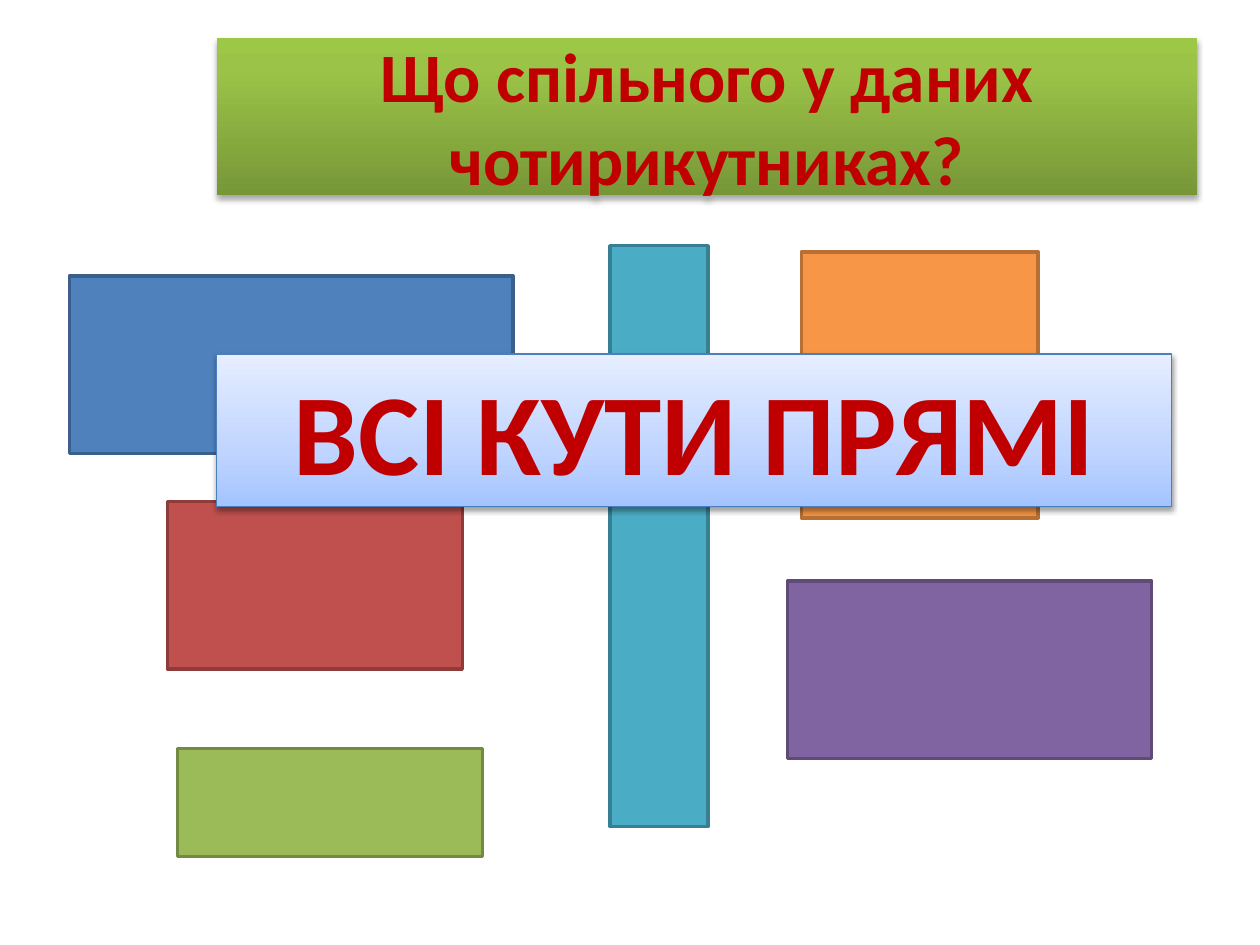
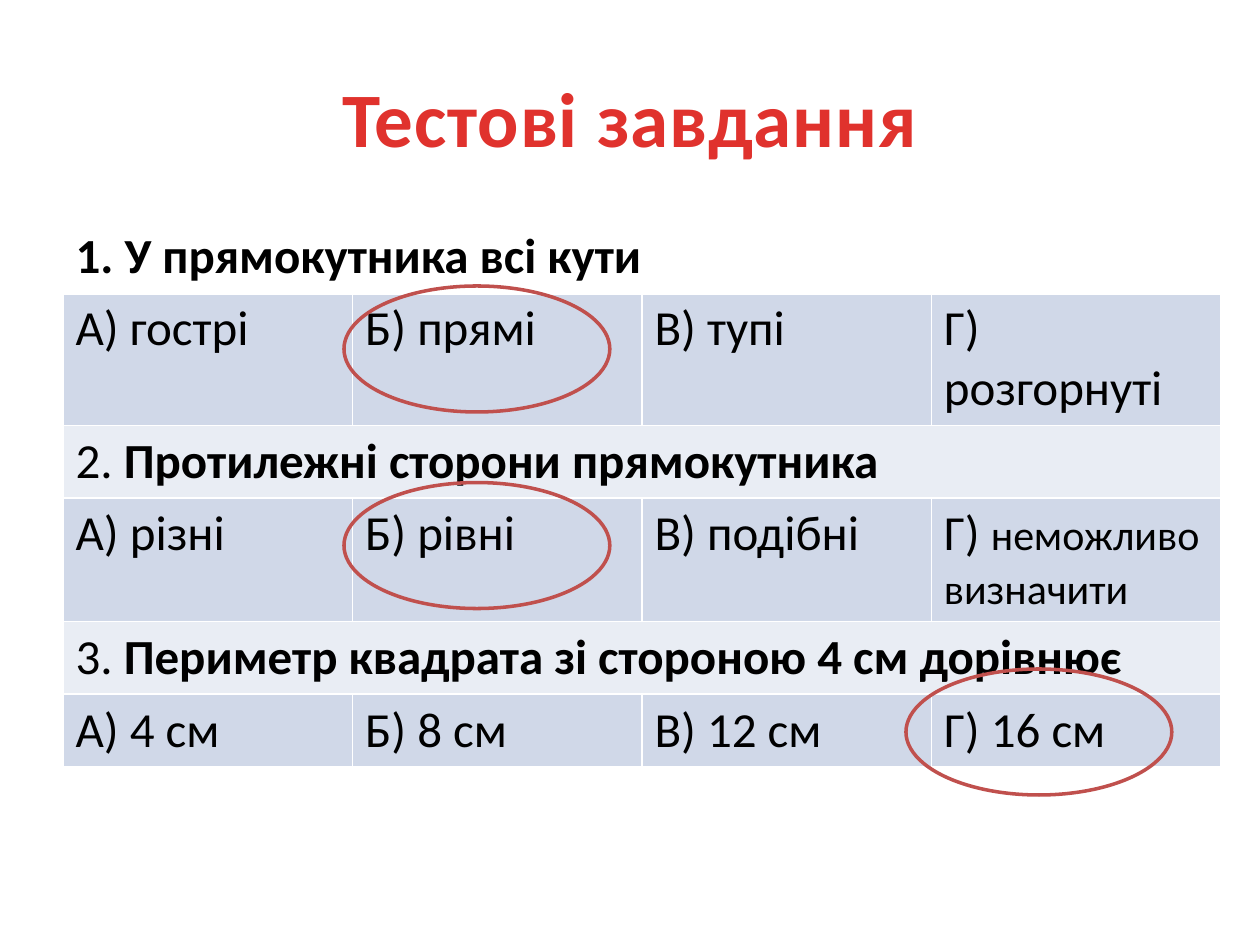
"""Build two geometry slides: rectangles with right angles and a short test."""
from lxml import etree
from pptx import Presentation
from pptx import util as u
from pptx.dml.color import RGBColor
from pptx.enum import shapes, text
from pptx.oxml import ns

PX = 9144
FONT = "Calibri"
BLACK = RGBColor(0x00, 0x00, 0x00)
WHITE = RGBColor(0xFF, 0xFF, 0xFF)
DARK_RED = RGBColor(0xC0, 0x00, 0x00)
BRIGHT_RED = RGBColor(0xE0, 0x32, 0x2D)
BLUE, BLUE_EDGE = RGBColor(0x4F, 0x81, 0xBD), RGBColor(0x3A, 0x5F, 0x8C)
TEAL, TEAL_EDGE = RGBColor(0x4B, 0xAC, 0xC6), RGBColor(0x37, 0x7F, 0x92)
ORANGE, ORANGE_EDGE = RGBColor(0xF7, 0x96, 0x46), RGBColor(0xB7, 0x6F, 0x34)
RED, RED_EDGE = RGBColor(0xC0, 0x50, 0x4D), RGBColor(0x8E, 0x3B, 0x39)
GREEN, GREEN_EDGE = RGBColor(0x9B, 0xBB, 0x59), RGBColor(0x73, 0x8A, 0x42)
PURPLE, PURPLE_EDGE = RGBColor(0x80, 0x64, 0xA2), RGBColor(0x5F, 0x4A, 0x78)
ANSWER_EDGE = RGBColor(0x4B, 0x7E, 0xBC)
QUESTION_FILL = RGBColor(0xE9, 0xED, 0xF4)
OPTION_FILL = RGBColor(0xD0, 0xD8, 0xE8)
GREEN_FADE = [(0, RGBColor(0x77, 0x97, 0x37)), (80, RGBColor(0x9B, 0xC3, 0x48)),
              (100, RGBColor(0x9D, 0xC7, 0x46))]
BLUE_FADE = [(0, RGBColor(0xA4, 0xC4, 0xFF)), (35, RGBColor(0xBF, 0xD4, 0xFF)),
             (100, RGBColor(0xE6, 0xEE, 0xFF))]


def px(*lengths):
    return [u.Emu(length * PX) for length in lengths]


def sub(parent, tag, **attributes):
    return etree.SubElement(parent, ns.qn(tag), {k: str(v) for k, v in attributes.items()})


def add_text(paragraph, words, size=28, color=BLACK, bold=False, spacing=None):
    run = paragraph.add_run()
    run.text = words
    run.font.name, run.font.size, run.font.bold = FONT, u.Pt(size), bold
    run.font.color.rgb = color
    if spacing:
        run.font._element.set("spc", str(spacing))


class Deck:
    """Hold the presentation style and the current slide."""

    def __init__(self):
        self.show = Presentation()
        self.show.slide_width, self.show.slide_height = px(1000, 750)

    def new_slide(self):
        self.slide = self.show.slides.add_slide(self.show.slide_layouts[5])

    def title(self, words, left, width, **style):
        heading = self.slide.shapes.title
        heading.left, heading.top, heading.width, heading.height = px(left, 30, width, 125)
        frame = heading.text_frame
        frame.word_wrap, frame.auto_size = True, text.MSO_AUTO_SIZE.NONE
        frame.vertical_anchor = text.MSO_ANCHOR.MIDDLE
        frame.paragraphs[0].alignment = text.PP_ALIGN.CENTER
        add_text(frame.paragraphs[0], words, bold=True, **style)
        return heading

    def fade(self, panel, stops, opacity, distance):
        panel.fill.gradient()
        panel.fill.gradient_angle = 90
        properties = panel.element.spPr
        stop_list = properties.find(".//" + ns.qn("a:gsLst"))
        for stop in list(stop_list):
            stop_list.remove(stop)
        for position, color in stops:
            sub(sub(stop_list, "a:gs", pos=position * 1000), "a:srgbClr", val=color)
        shadow = sub(sub(properties, "a:effectLst"), "a:outerShdw", blurRad=u.Pt(3.1),
                     dist=u.Pt(distance), dir=5400000, rotWithShape=0)
        sub(sub(shadow, "a:srgbClr", val="000000"), "a:alpha", val=opacity * 1000)

    def figure(self, kind, box, edge, fill=None):
        figure = self.slide.shapes.add_shape(kind, *px(*box))
        figure.shadow.inherit = False
        figure.line.color.rgb, figure.line.width = edge, u.Pt(2)
        if fill is None:
            figure.fill.background()
        else:
            figure.fill.solid()
            figure.fill.fore_color.rgb = fill

    def answer(self, words, box):
        banner = self.slide.shapes.add_textbox(*px(*box))
        banner.line.color.rgb, banner.line.width = ANSWER_EDGE, u.Pt(0.75)
        self.fade(banner, BLUE_FADE, 38, 1.6)
        frame = banner.text_frame
        frame.word_wrap, frame.auto_size = True, text.MSO_AUTO_SIZE.SHAPE_TO_FIT_TEXT
        frame.paragraphs[0].alignment = text.PP_ALIGN.CENTER
        add_text(frame.paragraphs[0], words, size=66, color=DARK_RED, bold=True)

    def cell(self, cell, runs, fill, bottom=1):
        properties = cell._tc.get_or_add_tcPr()
        for side, width in zip("LRTB", (1, 1, 1, bottom)):
            border = sub(properties, f"a:ln{side}", w=u.Pt(width))
            sub(sub(border, "a:solidFill"), "a:srgbClr", val=WHITE)
        cell.fill.solid()
        cell.fill.fore_color.rgb = fill
        for words, style in runs:
            add_text(cell.text_frame.paragraphs[0], words, **style)

    def test(self, tasks, heights, box):
        grid = self.slide.shapes.add_table(len(heights), 4, *px(*box)).table
        grid.first_row = grid.horz_banding = False
        for row, height in zip(grid.rows, heights):
            row.height = px(height)[0]
        for number, (question, options) in enumerate(tasks):
            row = 2 * number
            grid.cell(row, 0).merge(grid.cell(row, 3))
            first = number == 0
            runs = [(f"{number + 1}. ", {"bold": first}), (question, {"bold": True})]
            self.cell(grid.cell(row, 0), runs, WHITE if first else QUESTION_FILL,
                      bottom=3 if first else 1)
            for column, (letter, option) in enumerate(zip("АБВГ", options)):
                size = 24 if " " in option and len(option) > 10 else 28
                runs = [(f"{letter}) ", {}), (option, {"size": size})]
                self.cell(grid.cell(row + 1, column), runs, OPTION_FILL)


def main():
    deck = Deck()
    deck.new_slide()
    heading = deck.title("Що спільного у даних чотирикутниках?", 172, 778,
                         size=39.6, color=DARK_RED)
    deck.fade(heading, GREEN_FADE, 35, 1.8)
    quadrilaterals = [
        ((55, 219, 352, 141), BLUE_EDGE, BLUE),
        ((484, 195, 78, 461), TEAL_EDGE, TEAL),
        ((636, 200, 188, 211), ORANGE_EDGE, ORANGE),
        ((133, 398, 234, 133), RED_EDGE, RED),
        ((141, 594, 242, 86), GREEN_EDGE, GREEN),
        ((625, 461, 289, 141), PURPLE_EDGE, PURPLE),
    ]
    for box, edge, fill in quadrilaterals:
        deck.figure(shapes.MSO_SHAPE.RECTANGLE, box, edge, fill)
    deck.answer("ВСІ КУТИ ПРЯМІ", (172, 281, 758, 121))

    deck.new_slide()
    deck.title("Тестові завдання", 50, 900, size=44, color=BRIGHT_RED, spacing=50)
    tasks = [
        ("У прямокутника всі кути", ["гострі", "прямі", "тупі", "розгорнуті"]),
        ("Протилежні сторони прямокутника",
         ["різні", "рівні", "подібні", "неможливо визначити"]),
        ("Периметр квадрата зі стороною 4 см дорівнює",
         ["4 см", "8 см", "12 см", "16 см"]),
    ]
    deck.test(tasks, [57, 105, 57, 98, 57, 57], (50, 175, 919, 431))
    for left, top in [(273, 227), (719, 531), (273, 383)]:
        deck.figure(shapes.MSO_SHAPE.OVAL, (left, top, 211, 100), RED)
    deck.show.save("out.pptx")


if __name__ == "__main__":
    main()
